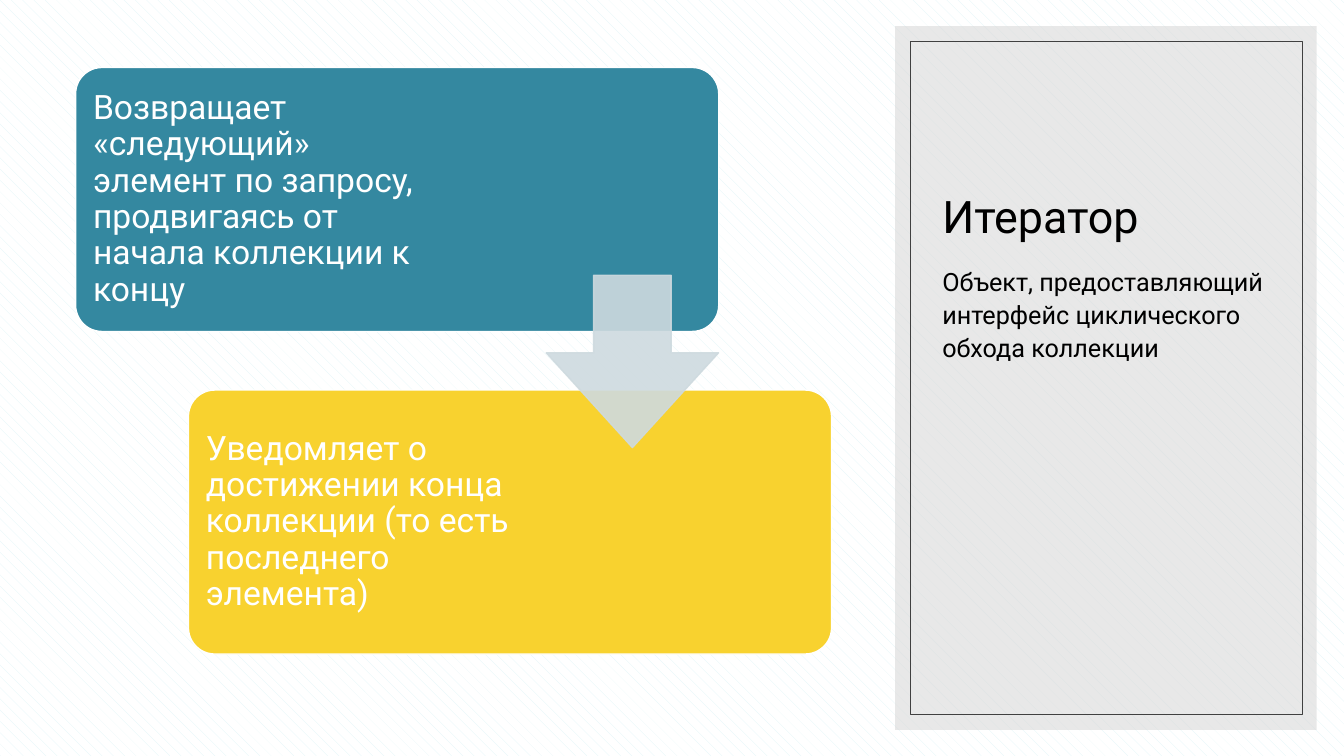
from lxml.etree import SubElement
from pptx import Presentation
from pptx.dml.color import RGBColor
from pptx.enum.dml import MSO_PATTERN
from pptx.enum.shapes import MSO_SHAPE
from pptx.enum.text import MSO_ANCHOR, MSO_AUTO_SIZE, PP_ALIGN
from pptx.oxml.ns import qn
from pptx.util import Pt

BLACK = RGBColor(0x00, 0x00, 0x00)
WHITE = RGBColor(0xFF, 0xFF, 0xFF)
MIST = RGBColor(0xDE, 0xF4, 0xF7)
GREY = RGBColor(0xD9, 0xD9, 0xD9)
DARK = RGBColor(0x40, 0x40, 0x40)
TEAL = RGBColor(0x34, 0x88, 0xA0)
GOLD = RGBColor(0xF8, 0xD2, 0x2F)
PALE = RGBColor(0xCE, 0xDA, 0xDF)

FONT = "Roboto"
CARD_W, CARD_H = 459.4, 188.6
STEP_X, STEP_Y = 80.6, 230.4
PAD = 5.4
CARDS = [
    (TEAL, 263.5, "Возвращает «следующий» элемент по запросу, "
                  "продвигаясь от начала коллекции к концу"),
    (GOLD, 244.1, "Уведомляет о достижении конца коллекции "
                  "(то есть последнего элемента)"),
]


def apply(item, form):
    """Set each attribute in form on item."""
    for name, value in form.items():
        setattr(item, name, value)


def place(item, box):
    """Move and size item; box is left, top, width, height in points."""
    apply(item, dict(zip(("left", "top", "width", "height"), map(Pt, box))))


def paint(slide, box):
    """Give the slide its shingle pattern."""
    fill = slide.background.fill
    fill.patterned()
    apply(fill, {"pattern": MSO_PATTERN.SHINGLE})
    fill.fore_color.rgb, fill.back_color.rgb = MIST, WHITE


def draw(slide, kind, box, fill=None, line=None, width=1, adjust=(), alpha=100):
    """Add a preset shape with flat fill and line."""
    shape = slide.shapes.add_shape(kind, *map(Pt, box))
    shape.shadow.inherit = False
    if fill is None:
        shape.fill.background()
    else:
        shape.fill.solid()
        shape.fill.fore_color.rgb = fill
    if line is None:
        shape.line.fill.background()
    else:
        shape.line.color.rgb = line
        shape.line.width = Pt(width)
    for spot, value in enumerate(adjust):
        shape.adjustments[spot] = value
    if alpha < 100:
        for color in shape.element.iter(qn("a:srgbClr")):
            SubElement(color, qn("a:alpha"), val=str(alpha * 1000))
    return shape


def write(item, text, size, color, anchor, pad=(7.2, 3.6), **para):
    """Fill a text shape with one formatted paragraph."""
    side, edge = map(Pt, pad)
    frame = item.text_frame
    frame.text = text
    apply(frame, {
        "word_wrap": True, "auto_size": MSO_AUTO_SIZE.NONE,
        "vertical_anchor": anchor,
        "margin_left": side, "margin_right": side,
        "margin_top": edge, "margin_bottom": edge,
    })
    line = frame.paragraphs[0]
    apply(line, {"alignment": PP_ALIGN.LEFT, **para})
    font = line.runs[0].font
    apply(font, {"name": FONT, "size": Pt(size)})
    font.color.rgb = color


def label(slide, box, text, size, color, anchor, **form):
    """Add a text box."""
    item = slide.shapes.add_textbox(*map(Pt, box))
    write(item, text, size, color, anchor, **form)


def panel(slide):
    """Build the side panel with the title and its summary."""
    draw(slide, MSO_SHAPE.RECTANGLE, (639.4, 18.7, 301, 502.6),
         GREY, alpha=60)
    draw(slide, MSO_SHAPE.RECTANGLE, (650.2, 29.5, 280.1, 481),
         line=DARK, width=0.5)
    title = slide.shapes.title
    title.element.getparent().append(title.element)
    place(title, (666, 47.5, 249.1, 129.6))
    write(title, "Итератор", 32, BLACK, MSO_ANCHOR.BOTTOM)
    label(slide, (666, 184.3, 249.1, 283.7),
          "Объект, предоставляющий интерфейс циклического обхода коллекции",
          18, BLACK, MSO_ANCHOR.TOP, line_spacing=1.1, space_before=Pt(8))


def steps(slide):
    """Build the two staggered cards and the arrow between them."""
    for turn, (color, width, text) in enumerate(CARDS):
        left, top = 54 + turn * STEP_X, 48.2 + turn * STEP_Y
        draw(slide, MSO_SHAPE.ROUNDED_RECTANGLE, (left, top, CARD_W, CARD_H),
             color, WHITE, adjust=(0.1,))
        label(slide, (left + PAD, top + PAD, width, CARD_H - 2 * PAD),
              text, 24, WHITE, MSO_ANCHOR.MIDDLE,
              pad=(7.2, 7.2), line_spacing=0.9)
    draw(slide, MSO_SHAPE.DOWN_ARROW, (390.2, 196.6, 123.1, 123.1),
         PALE, PALE, adjust=(0.45, 0.55), alpha=90)


def main():
    """Build and save the slide."""
    deck = Presentation()
    apply(deck, {"slide_width": Pt(960), "slide_height": Pt(540)})
    slide = deck.slides.add_slide(deck.slide_layouts[5])
    paint(slide, None)
    panel(slide)
    steps(slide)
    deck.save("out.pptx")


main()
